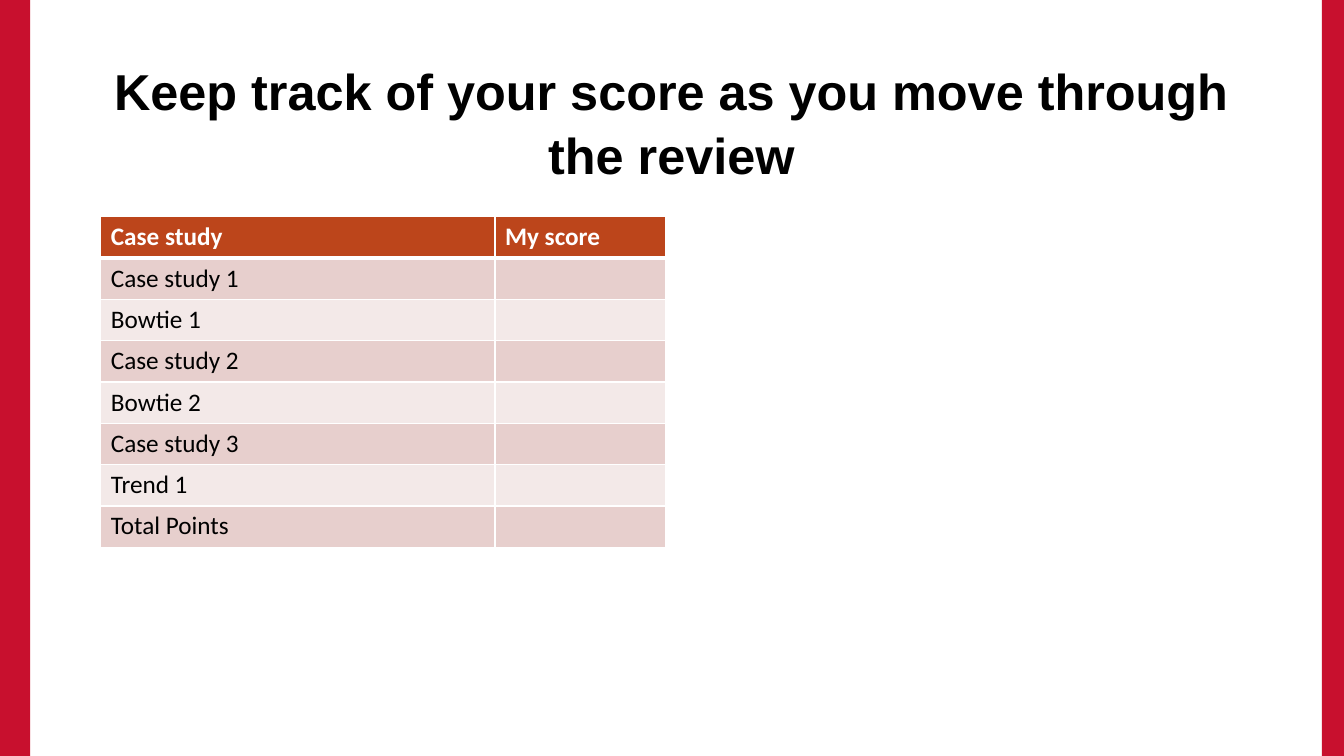
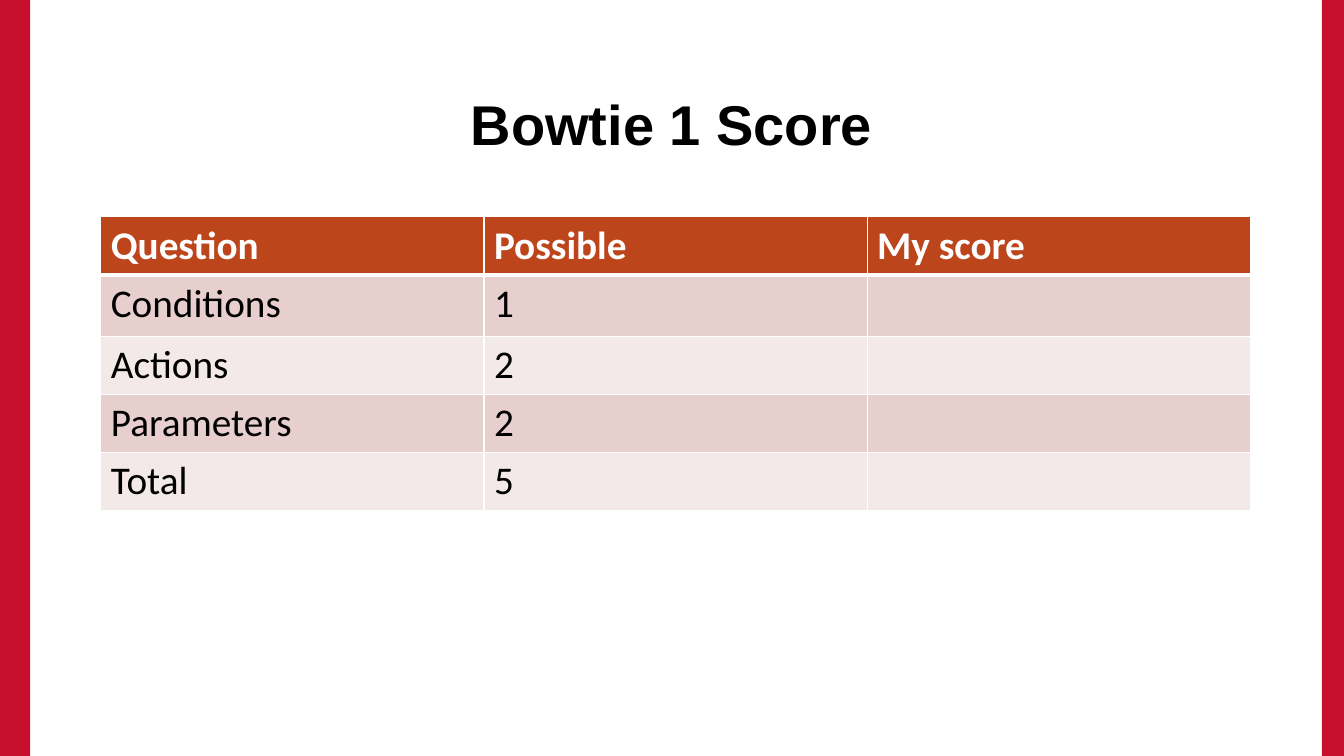
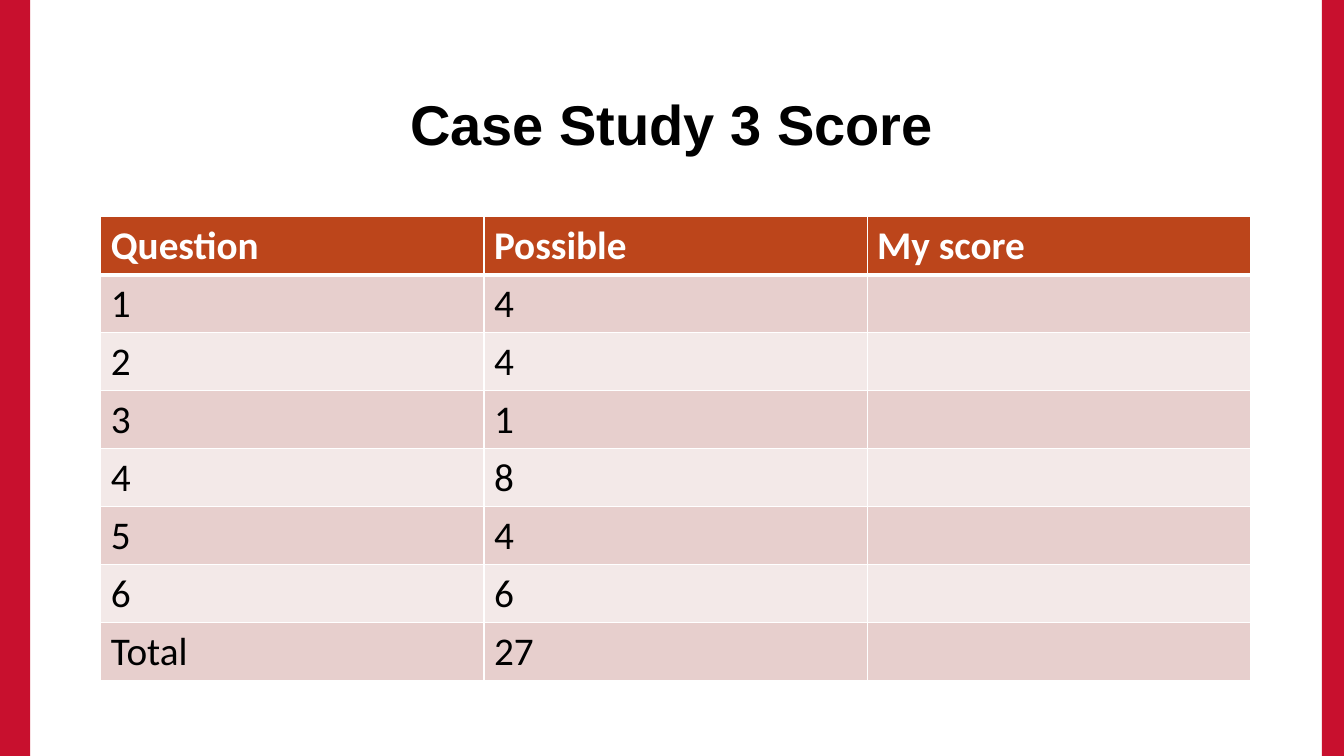
from pptx import Presentation
from pptx.dml.color import RGBColor
from pptx.enum.shapes import MSO_SHAPE
from pptx.enum.text import MSO_ANCHOR, MSO_AUTO_SIZE, PP_ALIGN
from pptx.oxml import parse_xml
from pptx.oxml.ns import nsdecls
from pptx.util import Inches, Pt

BAND_RED = "C8102E"
HEADER_FILL = "BC451B"
ROW_FILLS = ["F3E9E8", "E7CFCD"]
WHITE = "FFFFFF"
BLACK = "000000"
TOP_BORDER, HEADER_BORDER = 1, 3


def add_text(para, text, color, **formats):
    span = para.add_run()
    span.text = text
    span.font.color.rgb = RGBColor.from_string(color)
    for name, value in formats.items():
        setattr(span.font, name, value)


def add_borders(cell, widths):
    """Give a cell white borders; widths maps L, R, T and B to points."""
    properties = cell._tc.get_or_add_tcPr()
    for side, width in widths.items():
        properties.append(parse_xml(
            f'<a:ln{side} {nsdecls("a")} w="{Pt(width)}"><a:solidFill>'
            f'<a:srgbClr val="{WHITE}"/></a:solidFill></a:ln{side}>'))


score_header = ["Question", "Possible", "My score"]
slides = [
    {"title": "Keep track of your score as you move through the review",
     "title_size": 36, "text_size": 18, "columns": [3.91, 1.69], "row_height": 0.41,
     "rows": [["Case study", "My score"], ["Case study 1"], ["Bowtie 1"],
              ["Case study 2"], ["Bowtie 2"], ["Case study 3"], ["Trend 1"],
              ["Total Points"]]},
    {"title": "Bowtie 1 Score",
     "title_size": 40, "text_size": 28, "columns": [3.8] * 3, "row_height": 0.57,
     "tall_rows": {1: 0.61},
     "rows": [score_header, ["Conditions", "1"], ["Actions", "2"],
              ["Parameters", "2"], ["Total", "5"]]},
    {"title": "Case Study 3 Score",
     "title_size": 40, "text_size": 28, "columns": [3.8] * 3, "row_height": 0.57,
     "rows": [score_header, ["1", "4"], ["2", "4"], ["3", "1"], ["4", "8"],
              ["5", "4"], ["6", "6"], ["Total", "27"]]},
]

deck = Presentation()
deck.slide_width = Inches(13.33)
deck.slide_height = Inches(7.5)
layout = deck.slide_layouts.get_by_name("Title Only")
pages = [deck.slides.add_slide(layout) for _ in slides]

# Side bands are drawn on a page, then moved to the layout that all pages share
for left, width in [(0, 0.3), (13.11, 0.22)]:
    band = pages[0].shapes.add_shape(
        MSO_SHAPE.RECTANGLE, Inches(left), 0, Inches(width), deck.slide_height)
    band.shadow.inherit = False
    band.fill.solid()
    band.fill.fore_color.rgb = RGBColor.from_string(BAND_RED)
    band.line.fill.background()
    layout.shapes.element.append(band.element)

for page, content in zip(pages, slides):
    title = page.shapes.title
    title.left, title.top = Inches(1), Inches(0.67)
    title.width, title.height = Inches(11.32), Inches(1.06)
    frame = title.text_frame
    for name, value in {"word_wrap": True, "auto_size": MSO_AUTO_SIZE.NONE,
                        "vertical_anchor": MSO_ANCHOR.MIDDLE}.items():
        setattr(frame, name, value)
    para = frame.paragraphs[0]
    para.alignment = PP_ALIGN.CENTER
    para.line_spacing = 1.05
    add_text(para, content["title"], BLACK,
             name="Arial", size=Pt(content["title_size"]), bold=True)

    rows, columns = content["rows"], content["columns"]
    heights = [content.get("tall_rows", {}).get(index, content["row_height"])
               for index in range(len(rows))]
    table = page.shapes.add_table(
        len(rows), len(columns), Inches(1), Inches(2.15),
        Inches(sum(columns)), Inches(sum(heights))).table
    for column, width in zip(table.columns, columns):
        column.width = Inches(width)

    for row_index, (texts, height) in enumerate(zip(rows, heights)):
        table.rows[row_index].height = Inches(height)
        is_header = row_index == 0
        fill = HEADER_FILL if is_header else ROW_FILLS[row_index % 2]
        borders = {"L": 1, "R": 1,
                   "T": HEADER_BORDER if row_index == 1 else TOP_BORDER,
                   "B": HEADER_BORDER if is_header else TOP_BORDER}
        for column_index in range(len(columns)):
            cell = table.cell(row_index, column_index)
            add_borders(cell, borders)
            cell.fill.solid()
            cell.fill.fore_color.rgb = RGBColor.from_string(fill)
            if column_index < len(texts):
                add_text(cell.text_frame.paragraphs[0], texts[column_index],
                         WHITE if is_header else BLACK, name="Calibri",
                         size=Pt(content["text_size"]), bold=is_header)

deck.save("out.pptx")
